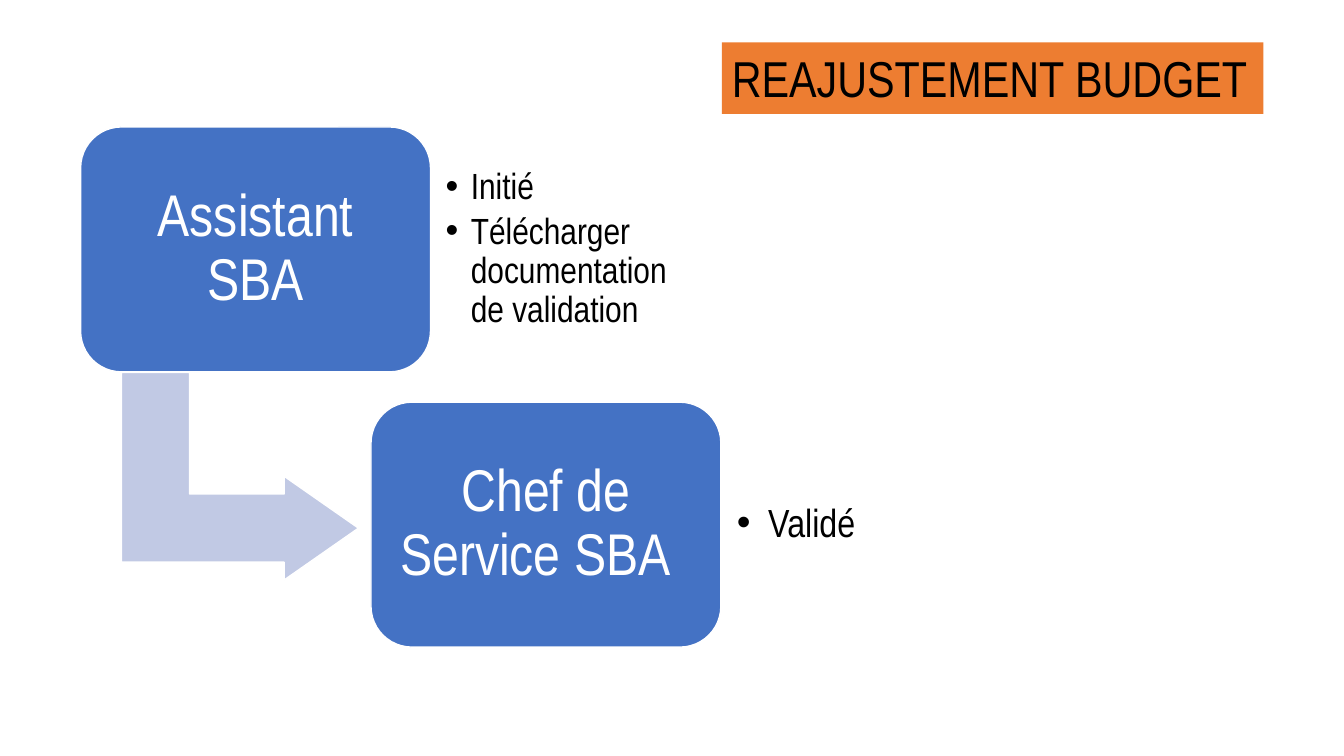
from dataclasses import dataclass

from lxml import etree
from pptx import Presentation
from pptx import util as u
from pptx.dml.color import RGBColor
from pptx.enum import shapes, text
from pptx.oxml import ns


@dataclass(frozen=True)
class Theme:
    font: str = "Arial Narrow"
    step: str = "4472C4"
    arrow: str = "C1C9E4"
    banner: str = "ED7D31"
    light: str = "FFFFFF"
    dark: str = "000000"
    step_size: int = 42
    title_size: int = 36


@dataclass(frozen=True)
class Step:
    left: float
    top: float
    label: str
    tasks: tuple[str, ...]
    task_size: int
    inset: float
    indent: float


T = Theme()
STEP_W, STEP_H = 3.47, 2.43
TASKS_W, TASKS_H = 2.53, 1.97
STEPS = (
    Step(0.8, 1.26, "Assistant SBA",
         ("Initié", "Télécharger documentation de validation"), 26, 0.14, 0.25),
    Step(3.68, 3.99, "Chef de Service SBA\t", ("Validé",), 28, 0.15, 0.31),
)


def set_all(target, values: dict) -> None:
    for name, value in values.items():
        setattr(target, name, value)


def add_block(s, kind, box: tuple, fill: str, outlined: bool = True):
    sp = s.shapes.add_shape(kind, *map(u.Inches, box))
    sp.shadow.inherit = False
    sp.fill.solid()
    sp.fill.fore_color.rgb = RGBColor.from_string(fill)
    if outlined:
        sp.line.color.rgb = RGBColor.from_string(T.light)
        sp.line.width = u.Pt(1)
    else:
        sp.line.fill.background()
    return sp


def set_frame(tf, inset: float) -> None:
    sides = ("margin_left", "margin_right", "margin_top", "margin_bottom")
    set_all(tf, dict.fromkeys(sides, u.Inches(inset)))
    set_all(tf, {"word_wrap": True, "vertical_anchor": text.MSO_ANCHOR.MIDDLE})


def write(p, words: str, size: int, color: str, **layout) -> None:
    set_all(p, layout)
    r = p.add_run()
    r.text = words
    set_all(r.font, {"name": T.font, "size": u.Pt(size)})
    r.font.color.rgb = RGBColor.from_string(color)


def add_bullet(p, indent: float) -> None:
    pPr = p._p.get_or_add_pPr()
    pPr.set("marL", str(u.Inches(indent)))
    pPr.set("indent", str(-u.Inches(indent)))
    etree.SubElement(pPr, ns.qn("a:buFont")).set("typeface", "Arial")
    etree.SubElement(pPr, ns.qn("a:buChar")).set("char", "•")


def add_step(s, step: Step) -> None:
    # Role box
    sp = add_block(s, shapes.MSO_SHAPE.ROUNDED_RECTANGLE,
                   (step.left, step.top, STEP_W, STEP_H), T.step)
    sp.adjustments[0] = 0.167
    set_frame(sp.text_frame, 0.17)
    write(sp.text_frame.paragraphs[0], step.label, T.step_size, T.light,
          alignment=text.PP_ALIGN.CENTER, line_spacing=0.9)

    # Task list to its right
    box = (step.left + STEP_W + 0.01, step.top + 0.23, TASKS_W, TASKS_H)
    tf = s.shapes.add_textbox(*map(u.Inches, box)).text_frame
    set_frame(tf, step.inset)
    for i, task in enumerate(step.tasks):
        p = tf.add_paragraph() if i else tf.paragraphs[0]
        add_bullet(p, step.indent)
        write(p, task, step.task_size, T.dark, level=1, line_spacing=0.9,
              space_after=u.Pt(step.task_size * 0.15))


def add_arrow(s) -> None:
    sp = add_block(s, shapes.MSO_SHAPE.BENT_UP_ARROW, (1.35, 3.55, 2.06, 2.35), T.arrow)
    sp.rotation = 90
    for i, value in enumerate((0.328, 0.25, 0.358)):
        sp.adjustments[i] = value


def add_title(s) -> None:
    sp = add_block(s, shapes.MSO_SHAPE.RECTANGLE, (7.16, 0.42, 5.37, 0.71),
                   T.banner, outlined=False)
    tf = sp.text_frame
    set_all(tf, {"word_wrap": True, "vertical_anchor": text.MSO_ANCHOR.TOP,
                 "auto_size": text.MSO_AUTO_SIZE.SHAPE_TO_FIT_TEXT})
    write(tf.paragraphs[0], "REAJUSTEMENT BUDGET", T.title_size, T.dark,
          alignment=text.PP_ALIGN.LEFT)


def main() -> None:
    prs = Presentation()
    set_all(prs, {"slide_width": u.Inches(13.33), "slide_height": u.Inches(7.5)})
    s = prs.slides.add_slide(prs.slide_layouts[6])
    add_arrow(s)
    for step in STEPS:
        add_step(s, step)
    add_title(s)
    prs.save("out.pptx")


if __name__ == "__main__":
    main()
